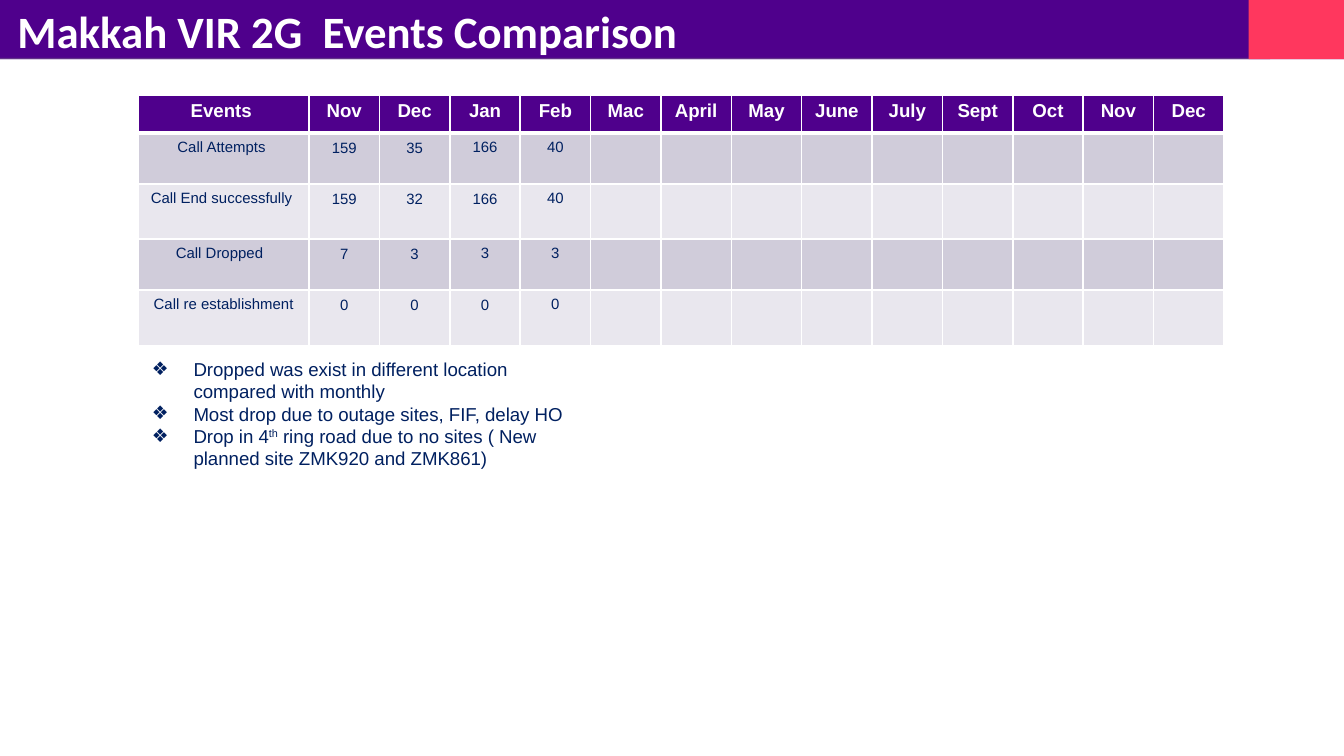
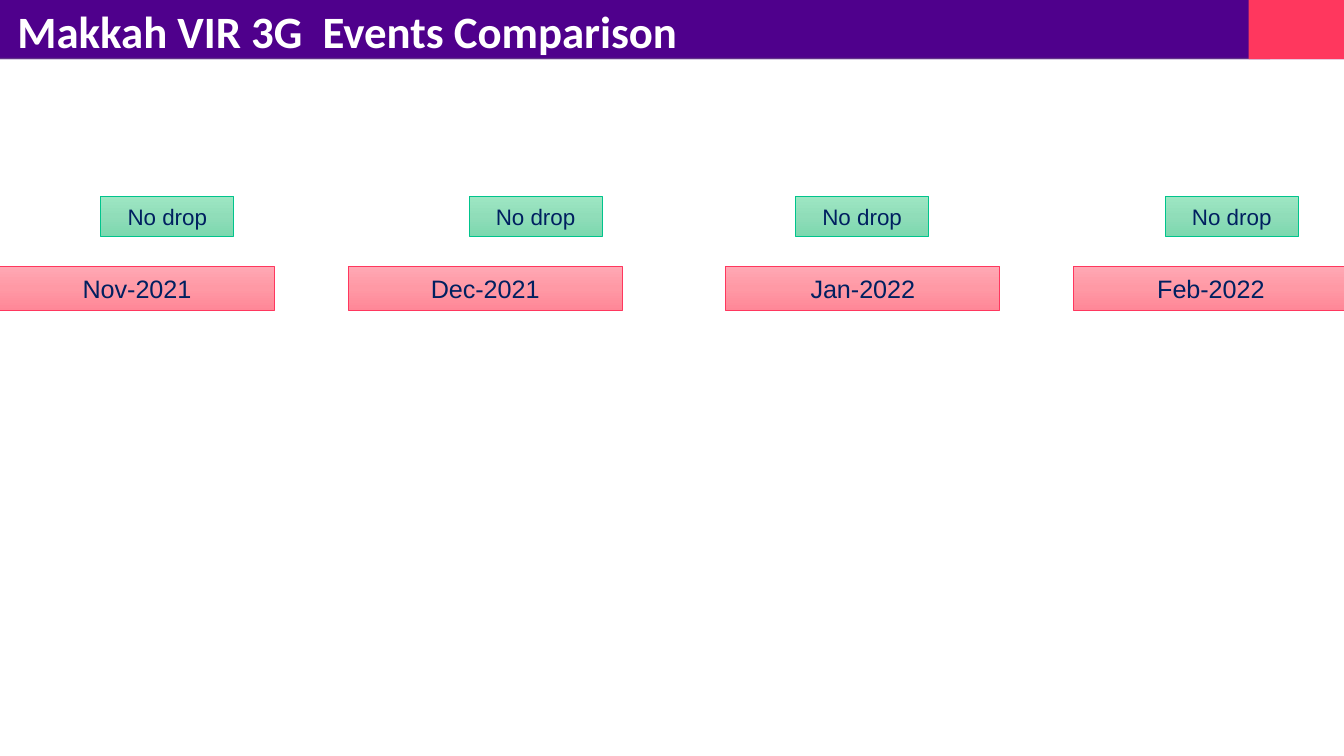
import copy
from typing import NamedTuple

import pptx
import pptx.dml.color
import pptx.enum.shapes
import pptx.enum.text
import pptx.oxml.ns
import pptx.util
from lxml import etree
from pptx.util import Inches

ALIGN = pptx.enum.text.PP_ALIGN
ANCHOR = pptx.enum.text.MSO_ANCHOR
AUTO_SIZE = pptx.enum.text.MSO_AUTO_SIZE
qn = pptx.oxml.ns.qn

PURPLE = "4F008C"
RULE_PURPLE = "623289"
PINK = "FF375E"
GREEN = "00C48C"
NAVY = "002060"
WHITE = "FFFFFF"
ROW_FILLS = ("D0CCDA", "E9E7EE")
GREEN_STOPS = ("9DE6C3", "90DDB9", "7CD8AF")
PINK_STOPS = ("FFA8B4", "FF99A5", "FF8797")


class Band(NamedTuple):
    left: float
    top: float
    width: float
    height: float
    color: str


class Month(NamedTuple):
    name: str
    status_left: float
    label_left: float


class Tag(NamedTuple):
    top: float
    width: float
    height: float
    size: float
    line: str
    stops: tuple[str, ...]


BANDS = [
    Band(0, 0, 10, 0.44, PURPLE),
    Band(0, 0.43, 9.45, 0.01, RULE_PURPLE),
    Band(9.29, 0, 0.71, 0.44, PINK),
]
STATUS_TAG = Tag(1.46, 0.99, 0.3, 12, GREEN, GREEN_STOPS)
MONTH_TAG = Tag(1.98, 2.04, 0.33, 13.5, PINK, PINK_STOPS)
MONTHS = [
    Month("Nov-2021", 0.75, 0),
    Month("Dec-2021", 3.49, 2.59),
    Month("Jan-2022", 5.92, 5.4),
    Month("Feb-2022", 8.67, 7.99),
]
EVENTS = [
    ["Events ", "Nov", "Dec", "Jan", "Feb", "Mac", "April", "May", "June",
     "July", "Sept", "Oct", "Nov", "Dec"],
    ["Call Attempts ", "159", "35", "166", "40"],
    ["Call End successfully ", "159", "32", "166", "40"],
    ["Call Dropped  ", "7", "3", "3", "3"],
    ["Call re establishment", "0", "0", "0", "0"],
]
TABLE_WIDTH = 8.08
EVENT_COL_WIDTH = 1.27
ROW_HEIGHTS = [0.28, 0.3, 0.41, 0.3, 0.41]
WIDE_MARGIN_CELLS = {(r, c) for r in range(1, 5) for c in (1, 2)} | {(2, 3), (4, 3)}
FINDINGS = [
    [("Dropped was exist in different location compared with monthly", 0)],
    [("Most drop due to outage sites, FIF, delay HO", 0)],
    [("Drop in 4", 0), ("th", 30),
     (" ring road due to no sites ( New planned site ZMK920 and ZMK861)", 0)],
]


def rgb(color: str) -> pptx.dml.color.RGBColor:
    return pptx.dml.color.RGBColor.from_string(color)


def add_text(p, text: str, *, size: float, color: str = NAVY, font: str = "Arial",
             bold: bool = False, align=ALIGN.LEFT, raised: int = 0) -> None:
    p.alignment = align
    r = p.add_run()
    r.text = text
    r.font.name = font
    r.font.size = pptx.util.Pt(size)
    r.font.bold = bold
    r.font.color.rgb = rgb(color)
    if raised:
        r._r.get_or_add_rPr().set("baseline", str(raised * 1000))


def place(sp, left: float, top: float, width: float, height: float) -> None:
    sp.left, sp.top = Inches(left), Inches(top)
    sp.width, sp.height = Inches(width), Inches(height)


def add_rect(slide, left: float, top: float, width: float, height: float):
    sp = slide.shapes.add_shape(
        pptx.enum.shapes.MSO_SHAPE.RECTANGLE,
        Inches(left), Inches(top), Inches(width), Inches(height))
    sp.shadow.inherit = False
    return sp


def move_bands_to_master(prs, slide) -> None:
    for i, band in enumerate(BANDS):
        sp = add_rect(slide, band.left, band.top, band.width, band.height)
        sp.fill.solid()
        sp.fill.fore_color.rgb = rgb(band.color)
        sp.line.fill.background()
        prs.slide_master.shapes.element.insert(2 + i, sp.element)


def add_title(slide, text: str) -> None:
    sp = slide.shapes.title
    place(sp, 0.13, 0.03, 9.44, 0.43)
    tf = sp.text_frame
    tf.margin_left = tf.margin_top = tf.margin_right = tf.margin_bottom = 0
    tf.vertical_anchor = ANCHOR.TOP
    tf.auto_size = AUTO_SIZE.NONE
    add_text(tf.paragraphs[0], text, size=24, color=WHITE, font="Calibri", bold=True)


def set_border(cell, side: str, width: float) -> None:
    ln = etree.SubElement(cell._tc.get_or_add_tcPr(), qn(f"a:ln{side}"),
                          w=str(pptx.util.Pt(width)))
    fill = etree.SubElement(ln, qn("a:solidFill"))
    etree.SubElement(fill, qn("a:srgbClr"), val=WHITE)


def add_events_table(slide) -> None:
    n_cols = len(EVENTS[0])
    month_col_width = (TABLE_WIDTH - EVENT_COL_WIDTH) / (n_cols - 1)
    table = slide.shapes.add_table(
        len(EVENTS), n_cols, Inches(1.03), Inches(0.71), Inches(TABLE_WIDTH),
        Inches(sum(ROW_HEIGHTS))).table
    for i, col in enumerate(table.columns):
        col.width = Inches(month_col_width if i else EVENT_COL_WIDTH)
    for i, height in enumerate(ROW_HEIGHTS):
        table.rows[i].height = Inches(height)
        header = i == 0
        for j in range(n_cols):
            cell = table.cell(i, j)
            wide = (i, j) in WIDE_MARGIN_CELLS
            cell.margin_left = cell.margin_right = Inches(0.1 if wide else 0.07)
            cell.margin_top = cell.margin_bottom = Inches(0.05 if wide else 0.04)
            for side in "LRTB":
                heavy = (i, side) in ((0, "B"), (1, "T"))
                set_border(cell, side, 3 if heavy else 1)
            cell.fill.solid()
            cell.fill.fore_color.rgb = rgb(PURPLE if header else ROW_FILLS[(i - 1) % 2])
            if j < len(EVENTS[i]):
                add_text(cell.text_frame.paragraphs[0], EVENTS[i][j],
                         size=10 if header else 8, color=WHITE if header else NAVY,
                         bold=header, align=ALIGN.CENTER)


def add_findings(slide) -> None:
    sp = slide.placeholders[1]
    place(sp, 1.03, 2.61, 3.49, 0.94)
    tf = sp.text_frame
    tf.word_wrap = True
    tf.auto_size = AUTO_SIZE.SHAPE_TO_FIT_TEXT
    for i, finding in enumerate(FINDINGS):
        p = tf.add_paragraph() if i else tf.paragraphs[0]
        p.space_before = pptx.util.Pt(0)
        pPr = p._p.get_or_add_pPr()
        pPr.set("marL", str(Inches(0.31)))
        pPr.set("indent", str(Inches(-0.31)))
        etree.SubElement(pPr, qn("a:buChar"), char="❖")
        for text, raised in finding:
            add_text(p, text, size=10, raised=raised)


def add_tag(slide, tag: Tag, left: float, text: str) -> None:
    sp = add_rect(slide, left, tag.top, tag.width, tag.height)
    sp.fill.gradient()
    sp.fill.gradient_angle = 270
    first = sp.element.find(".//" + qn("a:gs"))
    first.addnext(copy.deepcopy(first))
    for stop, position, color in zip(sp.fill.gradient_stops, (0, 0.5, 1), tag.stops):
        stop.position = position
        stop.color.rgb = rgb(color)
    sp.line.color.rgb = rgb(tag.line)
    sp.line.width = pptx.util.Pt(0.5)
    tf = sp.text_frame
    tf.word_wrap = True
    tf.vertical_anchor = ANCHOR.MIDDLE
    add_text(tf.paragraphs[0], text, size=tag.size, align=ALIGN.CENTER)


def main() -> None:
    prs = pptx.Presentation()
    prs.slide_width = Inches(10)
    prs.slide_height = prs.slide_width * 9 // 16

    slide = prs.slides.add_slide(prs.slide_layouts.get_by_name("Title and Content"))
    move_bands_to_master(prs, slide)
    add_title(slide, "Makkah VIR 2G  Events Comparison")
    add_events_table(slide)
    add_findings(slide)

    slide = prs.slides.add_slide(prs.slide_layouts.get_by_name("Title Only"))
    add_title(slide, "Makkah VIR 3G  Events Comparison")
    for month in MONTHS:
        add_tag(slide, STATUS_TAG, month.status_left, "No drop")
    for month in MONTHS:
        add_tag(slide, MONTH_TAG, month.label_left, month.name)

    prs.save("out.pptx")


if __name__ == "__main__":
    main()
